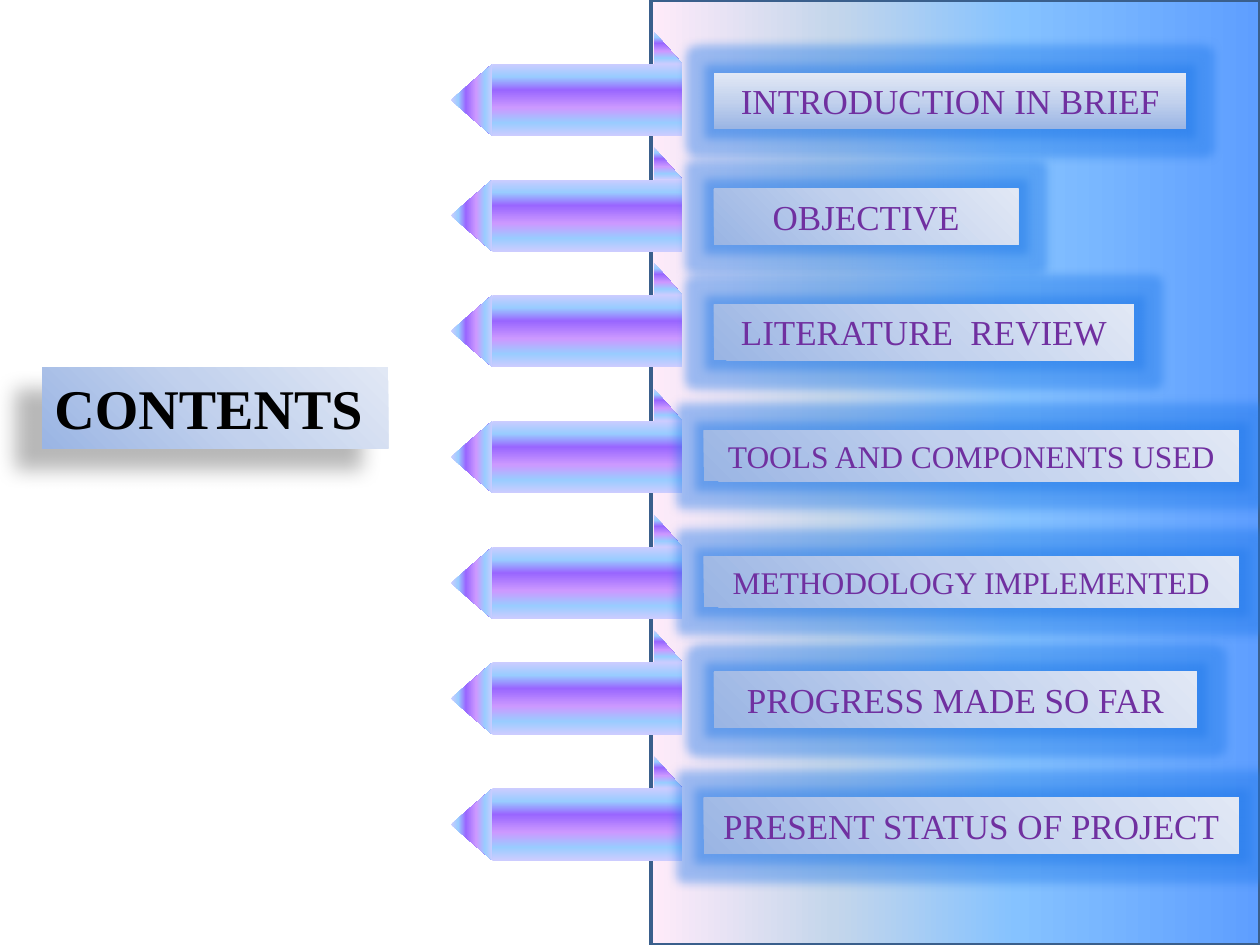
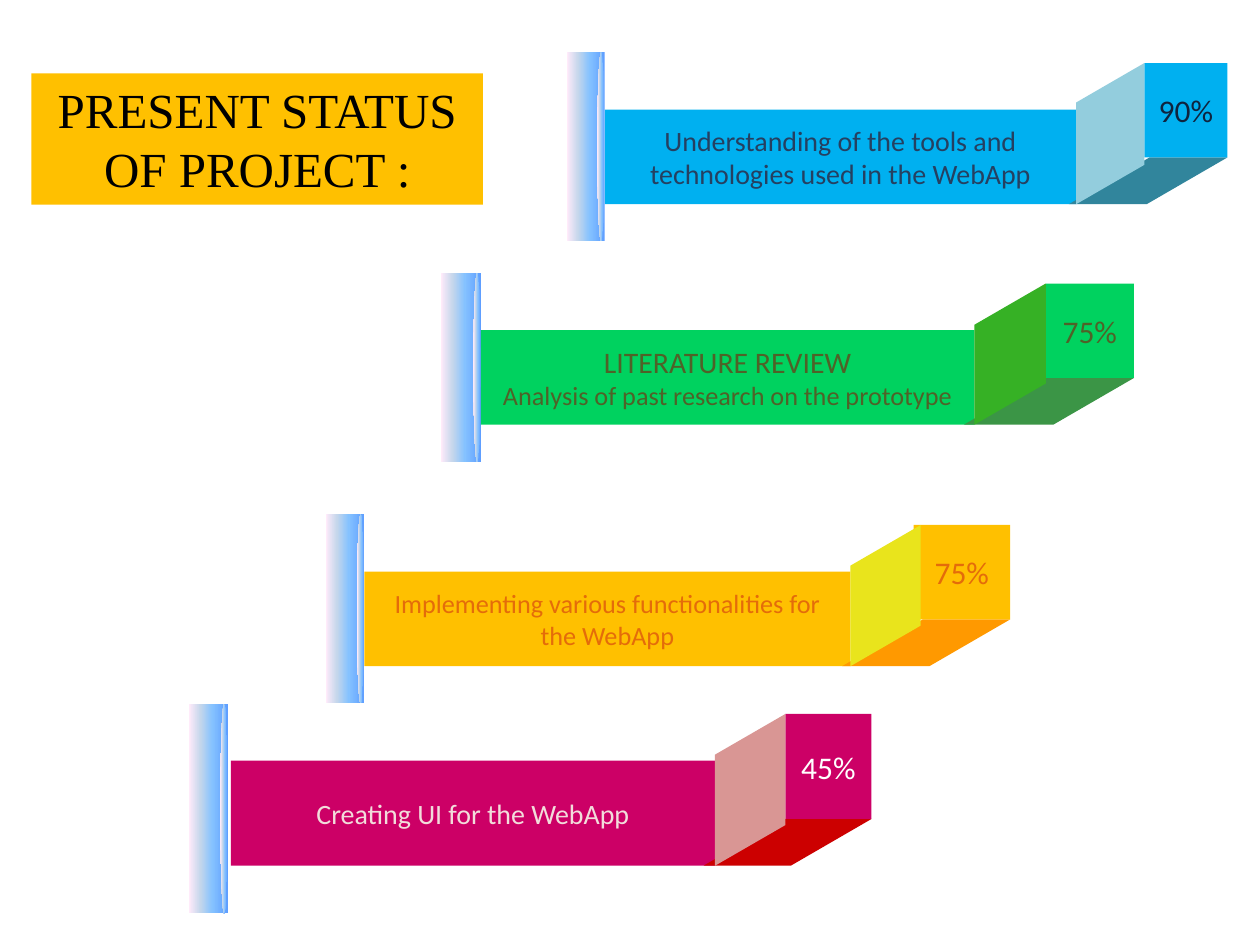
from dataclasses import dataclass
from lxml import etree
from pptx import Presentation
from pptx import util as u
from pptx.dml.color import RGBColor
from pptx.enum import shapes, text
from pptx.oxml.ns import qn

COLS, ROWS = 120, 90
SLIDE_W, SLIDE_H = u.Inches(10), u.Inches(7.5)
SERIF, SANS = "Times New Roman", "Calibri"
KIND = shapes.MSO_SHAPE
CENTER, LEFT = text.PP_ALIGN.CENTER, text.PP_ALIGN.LEFT
TOP, MIDDLE = text.MSO_ANCHOR.TOP, text.MSO_ANCHOR.MIDDLE

COLORS = {
    "black": "000000", "white": "FFFFFF", "purple": "7030A0",
    "panel_line": "3A5F8C", "glow": "1A75E8", "gold": "FFC000",
    "sky": "00B0F0", "sky_side": "93CDDD", "sky_floor": "31859C",
    "navy": "254061", "ink": "0F243E",
    "green": "00D25F", "green_side": "36B125", "green_floor": "3B9546",
    "olive": "4F6228",
    "gold_side": "E9E41C", "gold_floor": "FF9900", "orange": "E46C0A",
    "pink": "CC0066", "pink_side": "D99694", "pink_floor": "CC0000",
    "blush": "F2DCDB",
}


@dataclass(frozen=True)
class Gradient:
    stops: tuple[tuple[int, str], ...]
    angle: int = 0
    radial: bool = False


@dataclass(frozen=True)
class Box:
    x: float
    y: float
    w: float
    h: float

    @property
    def right(self) -> float:
        return self.x + self.w

    @property
    def bottom(self) -> float:
        return self.y + self.h


@dataclass(frozen=True)
class Line:
    words: str
    size: int
    color: str
    font: str = SANS
    bold: bool = False


@dataclass(frozen=True)
class Topic:
    words: str
    row: float
    col: float
    width: float
    size: int = 20
    height: float = 5.3
    angle: int = 315


@dataclass(frozen=True)
class Beam:
    pole: Box
    length: float
    side_width: float
    face_x: float
    face_width: float
    floor_width: float
    tone: str
    lines: tuple[Line, ...]
    percent: Line
    gap: float = 0


SKY = Gradient(((0, "5E9EFF"), (40, "85C2FF"), (70, "C4D6EB"), (100, "FFEBFA")), 180)
VIOLET = Gradient(((0, "CCCCFF"), (18, "99CCFF"), (36, "9966FF"),
                   (61, "CC99FF"), (82, "99CCFF"), (100, "CCCCFF")), 90)
MIST = ((0, "9AB5E4"), (50, "C2D1ED"), (100, "E1E8F5"))

TOPICS = (
    Topic("INTRODUCTION IN BRIEF", 3, 68, 45, angle=270),
    Topic("OBJECTIVE", 14, 68, 29),
    Topic("LITERATURE  REVIEW", 25, 68, 40),
    Topic("TOOLS AND COMPONENTS USED", 37, 67, 51, 18, 4.85),
    Topic("METHODOLOGY IMPLEMENTED", 49, 67, 51, 18, 4.85),
    Topic("PROGRESS MADE SO FAR", 60, 68, 46),
    Topic("PRESENT STATUS OF PROJECT", 72, 67, 51),
)

BEAMS = (
    Beam(Box(18, 67, 3.7, 20), 46.1, 6.7, 74.8, 8.2, 16, "pink",
         (Line("Creating UI for the WebApp", 16, "blush"),),
         Line("45%", 18, "white"), 0.3),
    Beam(Box(54, 5, 3.6, 18), 44.9, 6.5, 109, 7.9, 15.1, "sky",
         (Line("Understanding of the tools and technologies used in the WebApp", 16, "navy"),),
         Line("90%", 18, "ink")),
    Beam(Box(42, 26, 3.8, 18), 47, 6.8, 99.6, 8.4, 16.2, "green",
         (Line("LITERATURE REVIEW", 17, "olive"),
          Line("Analysis of past research on the prototype", 15, "olive")),
         Line("75%", 18, "olive")),
    Beam(Box(31, 49, 3.7, 18), 46.3, 6.7, 87, 9.2, 16, "gold",
         (Line("Implementing various functionalities for the WebApp", 15, "orange"),),
         Line("75%", 18, "orange")),
)


def node(parent, tag: str, **attrs):
    return etree.SubElement(parent, qn(f"a:{tag}"), {k: str(v) for k, v in attrs.items()})


def paint(sp, fill: str | Gradient) -> None:
    if isinstance(fill, str):
        sp.fill.solid()
        sp.fill.fore_color.rgb = RGBColor.from_string(COLORS[fill])
        return
    grad = etree.Element(qn("a:gradFill"), {"rotWithShape": "1"})
    stops = node(grad, "gsLst")
    for position, color in fill.stops:
        node(node(stops, "gs", pos=position * 1000), "srgbClr", val=color)
    if fill.radial:
        node(node(grad, "path", path="circle"), "fillToRect", t=100000, r=100000)
    else:
        node(grad, "lin", ang=fill.angle * 60000, scaled=0)
    sp._element.spPr.find(qn("a:prstGeom")).addnext(grad)


def add_shape(s, box: Box, fill: str | Gradient, kind=KIND.RECTANGLE,
              adjust: float | None = None):
    sp = s.shapes.add_shape(kind, int(SLIDE_W * box.x / COLS), int(SLIDE_H * box.y / ROWS),
                            int(SLIDE_W * box.w / COLS), int(SLIDE_H * box.h / ROWS))
    if adjust is not None:
        sp.adjustments[0] = adjust
    sp.line.fill.background()
    sp.shadow.inherit = False
    paint(sp, fill)
    return sp


def add_upright(s, box: Box, fill: str | Gradient, kind, turn: int,
                adjust: float | None = None):
    flat = Box(box.x + (box.w - box.h) / 2, box.y + (box.h - box.w) / 2, box.h, box.w)
    sp = add_shape(s, flat, fill, kind, adjust)
    sp.rotation = turn
    return sp


def write(sp, lines: tuple[Line, ...], align=CENTER, anchor=MIDDLE, inset: float = 0.1) -> None:
    tf = sp.text_frame
    tf.word_wrap = True
    tf.vertical_anchor = anchor
    tf.margin_left = tf.margin_right = u.Inches(inset)
    for i, line in enumerate(lines):
        p = tf.add_paragraph() if i else tf.paragraphs[0]
        p.alignment = align
        r = p.add_run()
        r.text = line.words
        r.font.name = line.font
        r.font.size = u.Pt(line.size)
        r.font.bold = line.bold
        r.font.color.rgb = RGBColor.from_string(COLORS[line.color])


def add_effect(sp, tag: str, color: str, alpha: int, **attrs) -> None:
    effects = sp._element.spPr.find(qn("a:effectLst"))
    tint = node(node(effects, tag, **attrs), "srgbClr", val=COLORS[color])
    node(tint, "alpha", val=alpha * 1000)


def add_pencil(s, row: float) -> None:
    body = Box(46.9, row + 3.1, 18.1, 6.85)
    add_shape(s, body, VIOLET)
    add_upright(s, Box(body.x - 3.95, body.y, 3.95, body.h), VIOLET,
                KIND.ISOSCELES_TRIANGLE, 270)
    add_shape(s, Box(body.right - 2.75, row, 2.75, 3.1), VIOLET,
              KIND.ISOSCELES_TRIANGLE, 0)


def add_topic(s, topic: Topic) -> None:
    sp = add_shape(s, Box(topic.col, topic.row + 4, topic.width, topic.height),
                   Gradient(MIST, topic.angle))
    add_effect(sp, "glow", "glow", 40, rad=u.Pt(11))
    write(sp, (Line(topic.words, topic.size, "purple", SERIF),), anchor=TOP)


def add_beam(s, beam: Beam) -> None:
    pole, tone = beam.pole, beam.tone
    bar = Box(pole.right + beam.gap, pole.y + 5.45, beam.length, pole.h / 2)
    face = Box(beam.face_x, pole.y + 1, beam.face_width, pole.h / 2)
    floor = Box(face.right - beam.floor_width, face.bottom,
                beam.floor_width, bar.bottom - face.bottom)
    side = Box(bar.right, face.y, beam.side_width, bar.bottom - face.y)
    add_shape(s, pole, SKY)
    add_shape(s, Box(pole.right - 0.7, pole.y, 0.7, pole.h), SKY, KIND.OVAL)
    write(add_shape(s, bar, tone), beam.lines)
    add_shape(s, floor, f"{tone}_floor", KIND.PARALLELOGRAM, 1.727)
    write(add_shape(s, face, tone), (beam.percent,), inset=0)
    sp = add_upright(s, side, f"{tone}_side", KIND.PARALLELOGRAM, 90, 0.578)
    sp._element.spPr.find(qn("a:xfrm")).set("flipH", "1")


def build_contents(s) -> None:
    panel = add_shape(s, Box(62, 0, 58, ROWS), SKY)
    panel.line.color.rgb = RGBColor.from_string(COLORS["panel_line"])
    panel.line.width = u.Pt(2)
    for topic in TOPICS:
        add_pencil(s, topic.row)
    title = add_shape(s, Box(4, 35, 33, 7.7), Gradient(MIST, radial=True))
    add_effect(title, "outerShdw", "black", 28, blurRad=u.Pt(11.8), dist=u.Pt(19.7),
               dir=141 * 60000, algn="ctr", rotWithShape=0)
    write(title, (Line("CONTENTS", 32, "black", SERIF, True),), LEFT, TOP)
    for topic in TOPICS:
        add_topic(s, topic)


def build_status(s) -> None:
    title = add_shape(s, Box(3, 7, 43, 12.5), "gold")
    write(title, (Line("PRESENT STATUS OF PROJECT :", 28, "black", SERIF),), anchor=TOP)
    for beam in BEAMS:
        add_beam(s, beam)


def main() -> None:
    prs = Presentation()
    prs.slide_width, prs.slide_height = SLIDE_W, SLIDE_H
    for build in (build_contents, build_status):
        build(prs.slides.add_slide(prs.slide_layouts[6]))
    prs.save("out.pptx")


if __name__ == "__main__":
    main()
